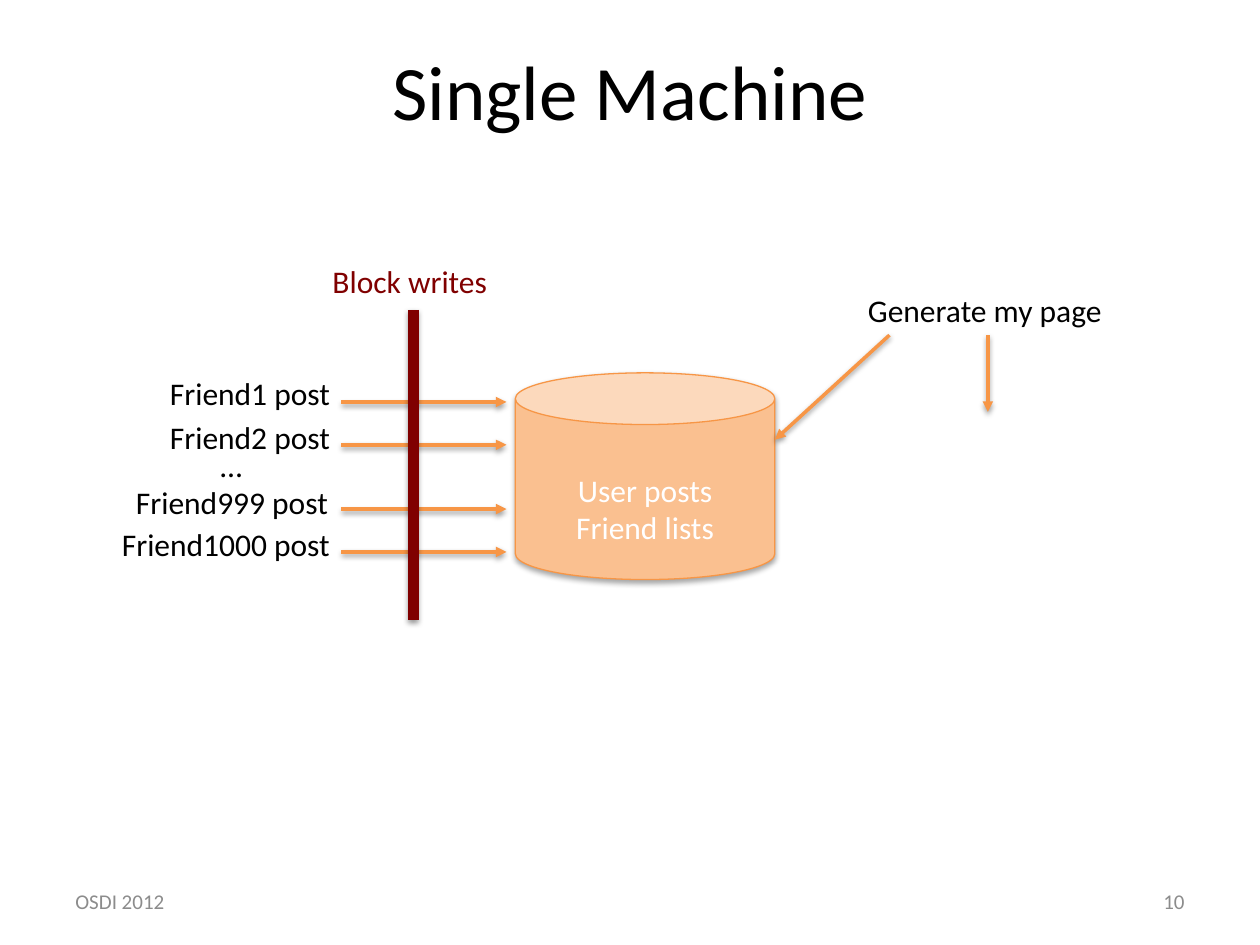
from lxml import etree
from pptx import Presentation
from pptx.dml.color import RGBColor
from pptx.enum.shapes import MSO_CONNECTOR, MSO_SHAPE
from pptx.enum.text import MSO_ANCHOR, MSO_AUTO_SIZE, PP_ALIGN
from pptx.oxml import parse_xml
from pptx.oxml.ns import nsdecls, qn
from pptx.util import Pt

CAN = MSO_SHAPE.CAN
LINE = MSO_CONNECTOR.STRAIGHT
TOP, MIDDLE = MSO_ANCHOR.TOP, MSO_ANCHOR.MIDDLE
LEFT, CENTER, RIGHT = PP_ALIGN.LEFT, PP_ALIGN.CENTER, PP_ALIGN.RIGHT
FIT, FIXED = MSO_AUTO_SIZE.SHAPE_TO_FIT_TEXT, MSO_AUTO_SIZE.NONE

BLACK = RGBColor(0x00, 0x00, 0x00)
WHITE = RGBColor(0xFF, 0xFF, 0xFF)
GRAY = RGBColor(0x8C, 0x8C, 0x8C)
ORANGE = RGBColor(0xF7, 0x96, 0x46)
PEACH = RGBColor(0xFA, 0xC0, 0x90)
MAROON = RGBColor(0x80, 0x00, 0x00)


class Deck:
    font = "Calibri"
    size = 18

    def __init__(self, slide):
        self.slide = slide

    def fill_text(self, frame, text, size, color, align):
        for i, words in enumerate(text.split("\n")):
            para = frame.add_paragraph() if i else frame.paragraphs[0]
            para.alignment = align
            run = para.add_run()
            run.text = words
            style = {"name": self.font, "size": Pt(size)}
            for key, value in style.items():
                setattr(run.font, key, value)
            run.font.color.rgb = color

    def shade(self, shape, dist, alpha):
        """Give the shape a soft shadow straight below it."""
        shape._element.spPr.append(parse_xml(
            f'<a:effectLst {nsdecls("a")}>'
            f'<a:outerShdw blurRad="{Pt(3.1)}" dist="{Pt(dist)}" '
            'dir="5400000" rotWithShape="0"><a:srgbClr val="000000">'
            f'<a:alpha val="{alpha * 1000}"/></a:srgbClr>'
            '</a:outerShdw></a:effectLst>'))

    def text(self, text, x, y, w, h=28.8, size=size, color=BLACK,
             align=LEFT, anchor=TOP, wrap=False):
        box = self.slide.shapes.add_textbox(Pt(x), Pt(y), Pt(w), Pt(h))
        frame = box.text_frame
        style = {"word_wrap": wrap, "vertical_anchor": anchor,
                 "auto_size": FIXED if wrap else FIT}
        for key, value in style.items():
            setattr(frame, key, value)
        self.fill_text(frame, text, size, color, align)

    def can(self, text, x, y, w, h):
        can = self.slide.shapes.add_shape(CAN, Pt(x), Pt(y), Pt(w), Pt(h))
        can.fill.solid()
        can.fill.fore_color.rgb = PEACH
        can.line.color.rgb = ORANGE
        can.line.width = Pt(0.75)
        self.shade(can, 1.8, 35)
        frame = can.text_frame
        style = {"word_wrap": True, "vertical_anchor": MIDDLE,
                 "margin_top": Pt(25.6)}
        for key, value in style.items():
            setattr(frame, key, value)
        self.fill_text(frame, text, self.size, WHITE, CENTER)

    def line(self, x1, y1, x2, y2, color=ORANGE, width=2, arrow=True):
        line = self.slide.shapes.add_connector(
            LINE, Pt(x1), Pt(y1), Pt(x2), Pt(y2))
        line.line.color.rgb = color
        line.line.width = Pt(width)
        if arrow:
            ln = line.line._get_or_add_ln()
            etree.SubElement(ln, qn("a:tailEnd"), type="triangle")
        self.shade(line, 1.6, 38)


def main():
    prs = Presentation()
    prs.slide_width, prs.slide_height = Pt(720), Pt(540)
    deck = Deck(prs.slides.add_slide(prs.slide_layouts[6]))

    deck.text("Single Machine", 36, 21.6, 648, 90, size=44,
              align=CENTER, wrap=True)
    deck.can("User posts\nFriend lists", 294.5, 213.1, 148.3, 118.1)

    posts = [
        ("Friend1 post", 90, 210.2, 107.3, 229.7),
        ("Friend2 post", 90, 235.4, 107.3, 254.2),
        ("Friend999 post", 70.6, 272.2, 129.6, 290.9),
        ("Friend1000 post", 62.6, 296.6, 134.6, 315.4),
    ]
    for name, x, y, w, row in posts:
        deck.text(name, x, y, w)
        deck.line(195.1, row, 289.4, row)
    deck.text("…", 118.8, 251.3, 27.4)

    deck.line(236.2, 177.1, 236.2, 354.2, MAROON, 6, arrow=False)
    deck.text("Block writes", 182.9, 146.2, 104.4, 51.1, color=MAROON)

    deck.text("Generate my page", 488.9, 162.7, 150.5)
    deck.line(508.3, 191.5, 442.8, 251.3)
    deck.line(564.5, 191.5, 564.5, 235.4)

    for words, x, align in (("OSDI 2012", 36, LEFT), ("10", 516.2, RIGHT)):
        deck.text(words, x, 500.4, 167.8, size=12, color=GRAY,
                  align=align, anchor=MIDDLE, wrap=True)

    prs.save("out.pptx")


if __name__ == "__main__":
    main()
